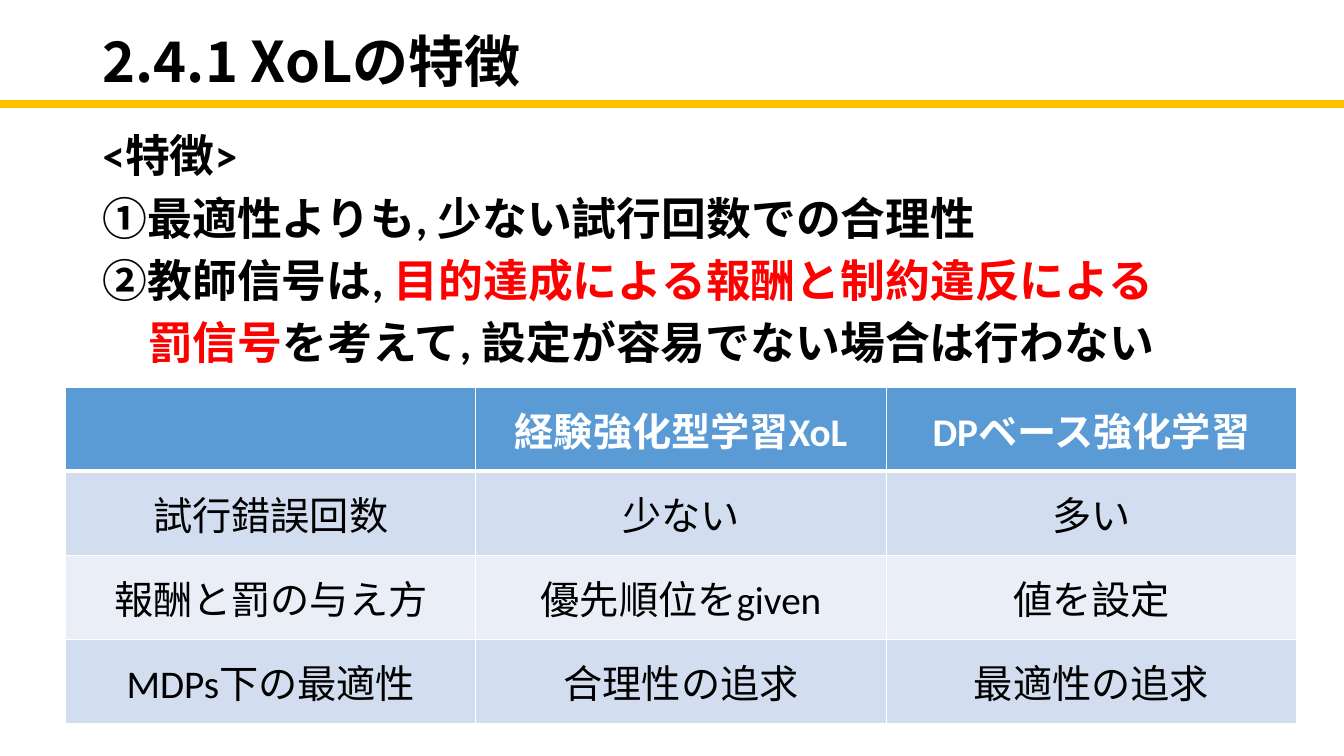
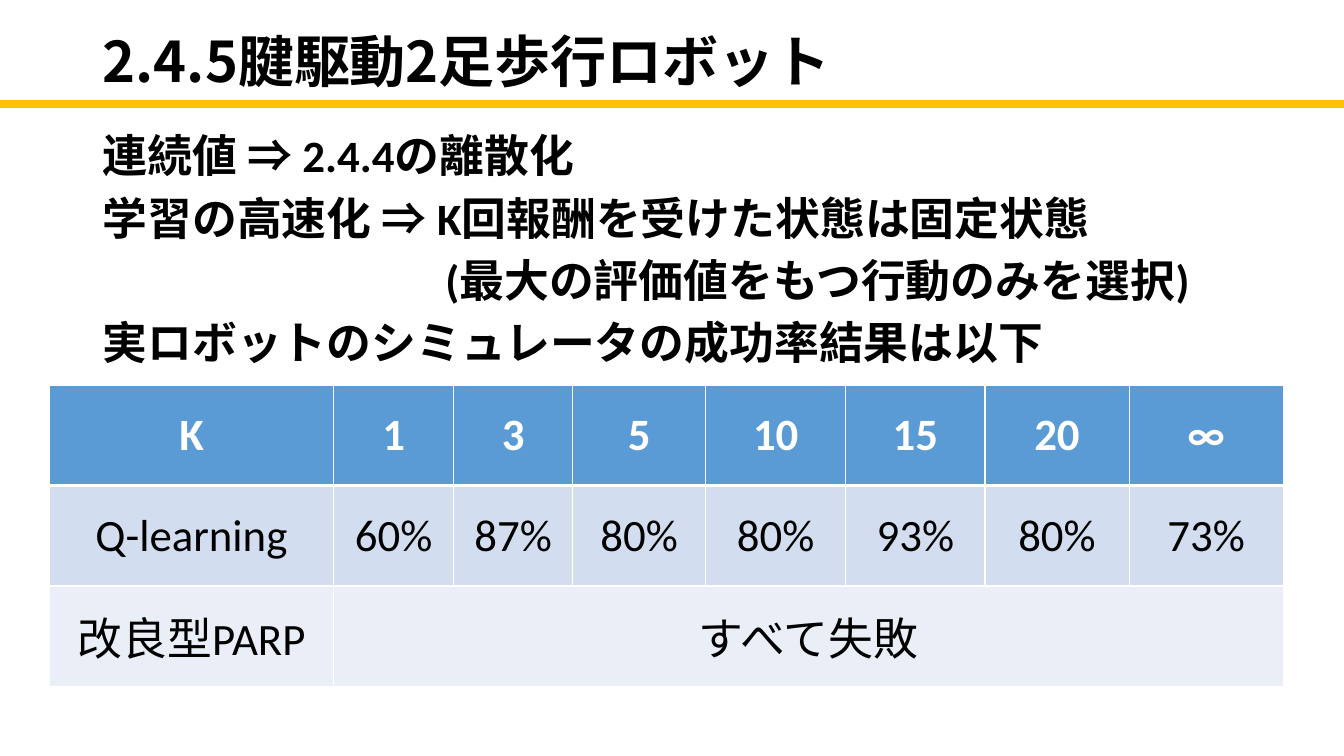
from dataclasses import dataclass

from lxml import etree
from pptx import Presentation
from pptx.dml.color import RGBColor
from pptx.enum import shapes, text
from pptx.oxml import ns
from pptx.util import Inches, Pt


@dataclass(frozen=True)
class Theme:
    """Colours, fonts and type sizes of the deck."""
    ink: str = "000000"
    paper: str = "FFFFFF"
    red: str = "FF0000"
    gold: str = "FFC000"
    head: str = "5B9BD5"
    bands: tuple = ("D2DEEF", "EAEFF7")
    font: str = "Calibri"
    title_font: str = "Noto Sans CJK JP"
    title: int = 40
    body: int = 32
    small: int = 28


T = Theme()
WIDE = 13.33
TITLE = (0.92, -0.09, 11.5, 1.45)
RULE = 1.03


def style(run, size, color=T.ink, bold=True, font=T.font):
    """Set the look of one run."""
    run.font.name = font
    run.font.size = Pt(size)
    run.font.bold = bold
    run.font.color.rgb = RGBColor.from_string(color)


def frame(slide, box):
    """Add a wrapping text box and return its frame."""
    area = slide.shapes.add_textbox(*map(Inches, box)).text_frame
    area.word_wrap = True
    return area


def header(slide, words):
    """Place the title and the gold rule beneath it."""
    area = frame(slide, TITLE)
    area.vertical_anchor = text.MSO_ANCHOR.MIDDLE
    para = area.paragraphs[0]
    para.text = words
    para.line_spacing = 0.9
    style(para.runs[0], T.title, font=T.title_font)
    rule = slide.shapes.add_connector(
        shapes.MSO_CONNECTOR.STRAIGHT, 0, Inches(RULE), Inches(WIDE), Inches(RULE))
    rule.line.color.rgb = RGBColor.from_string(T.gold)
    rule.line.width = Pt(6)
    etree.SubElement(rule._element.spPr, ns.qn("a:effectLst"))


def body(slide, box, lines):
    """Write lines, each an indent and its coloured parts."""
    area = frame(slide, box)
    for i, (indent, parts) in enumerate(lines):
        para = area.add_paragraph() if i else area.paragraphs[0]
        para.line_spacing = 0.9
        if i:
            para.space_before = Pt(10)
        if indent:
            para._p.get_or_add_pPr().set("marL", str(Inches(indent)))
        for words, color in parts:
            run = para.add_run()
            run.text = words
            style(run, T.body, color)


def edge(cell, side, width):
    """Draw one white border of a cell."""
    line = etree.SubElement(
        cell._tc.get_or_add_tcPr(), ns.qn("a:ln" + side), w=str(Pt(width)))
    fill = etree.SubElement(line, ns.qn("a:solidFill"))
    etree.SubElement(fill, ns.qn("a:srgbClr"), val=T.paper)


def paint(cell, row, words, size):
    """Set the borders, fill and text of one cell."""
    for side in "LRTB":
        thick = (row, side) in ((0, "B"), (1, "T"))
        edge(cell, side, 3 if thick else 1)
    cell.fill.solid()
    shade = T.bands[(row - 1) % 2] if row else T.head
    cell.fill.fore_color.rgb = RGBColor.from_string(shade)
    cell.vertical_anchor = text.MSO_ANCHOR.MIDDLE
    para = cell.text_frame.paragraphs[0]
    para.text = words
    para.alignment = text.PP_ALIGN.CENTER
    for run in para.runs:
        style(run, size, T.ink if row else T.paper, not row)


def grid(slide, box, cols, rows, size):
    """Build a banded table; a short row merges its last cell to the edge."""
    table = slide.shapes.add_table(len(rows), len(cols), *map(Inches, box)).table
    for col, width in zip(table.columns, cols):
        col.width = Inches(width)
    for r, words in enumerate(rows):
        table.rows[r].height = Inches(box[3] / len(rows))
        last = len(words) - 1
        if last < len(cols) - 1:
            table.cell(r, last).merge(table.cell(r, len(cols) - 1))
        for c in range(len(cols)):
            paint(table.cell(r, c), r, words[c] if c <= last else "", size)


def traits(slide):
    """Build the slide on the traits of XoL."""
    header(slide, "2.4.1 XoLの特徴")
    body(slide, (0.92, 1.28, 11.5, 2.5), [
        (0, [("<特徴>", T.ink)]),
        (0, [("①最適性よりも, 少ない試行回数での合理性", T.ink)]),
        (0, [("②教師信号は, ", T.ink),
             ("目的達成による報酬と制約違反による", T.red)]),
        (0.45, [("罰信号", T.red),
                ("を考えて, 設定が容易でない場合は行わない", T.ink)]),
    ])
    grid(slide, (0.65, 3.84, 12.21, 3.34), [4.07] * 3, [
        ("", "経験強化型学習XoL", "DPベース強化学習"),
        ("試行錯誤回数", "少ない", "多い"),
        ("報酬と罰の与え方", "優先順位をgiven", "値を設定"),
        ("MDPs下の最適性", "合理性の追求", "最適性の追求"),
    ], T.small)


def robot(slide):
    """Build the slide on the walking robot."""
    header(slide, "2.4.5腱駆動2足歩行ロボット")
    body(slide, (0.92, 1.28, 11.73, 2.5), [
        (0, [("連続値 ⇒ 2.4.4の離散化", T.ink)]),
        (0, [("学習の高速化 ⇒ K回報酬を受けた状態は固定状態", T.ink)]),
        (3.4, [("(最大の評価値をもつ行動のみを選択)", T.ink)]),
        (0, [("実ロボットのシミュレータの成功率結果は以下", T.ink)]),
    ])
    cols = [2.82, 1.19, 1.18, 1.32, 1.39, 1.38, 1.43, 1.53]
    grid(slide, (0.49, 3.82, sum(cols), 2.99), cols, [
        ("K", "1", "3", "5", "10", "15", "20", "∞"),
        ("Q-learning", "60%", "87%", "80%", "80%", "93%", "80%", "73%"),
        ("改良型PARP", "すべて失敗"),
    ], T.body)


def main():
    """Build and save the deck."""
    deck = Presentation()
    deck.slide_width, deck.slide_height = Inches(WIDE), Inches(7.5)
    for build in (traits, robot):
        build(deck.slides.add_slide(deck.slide_layouts[6]))
    deck.save("out.pptx")


if __name__ == "__main__":
    main()
